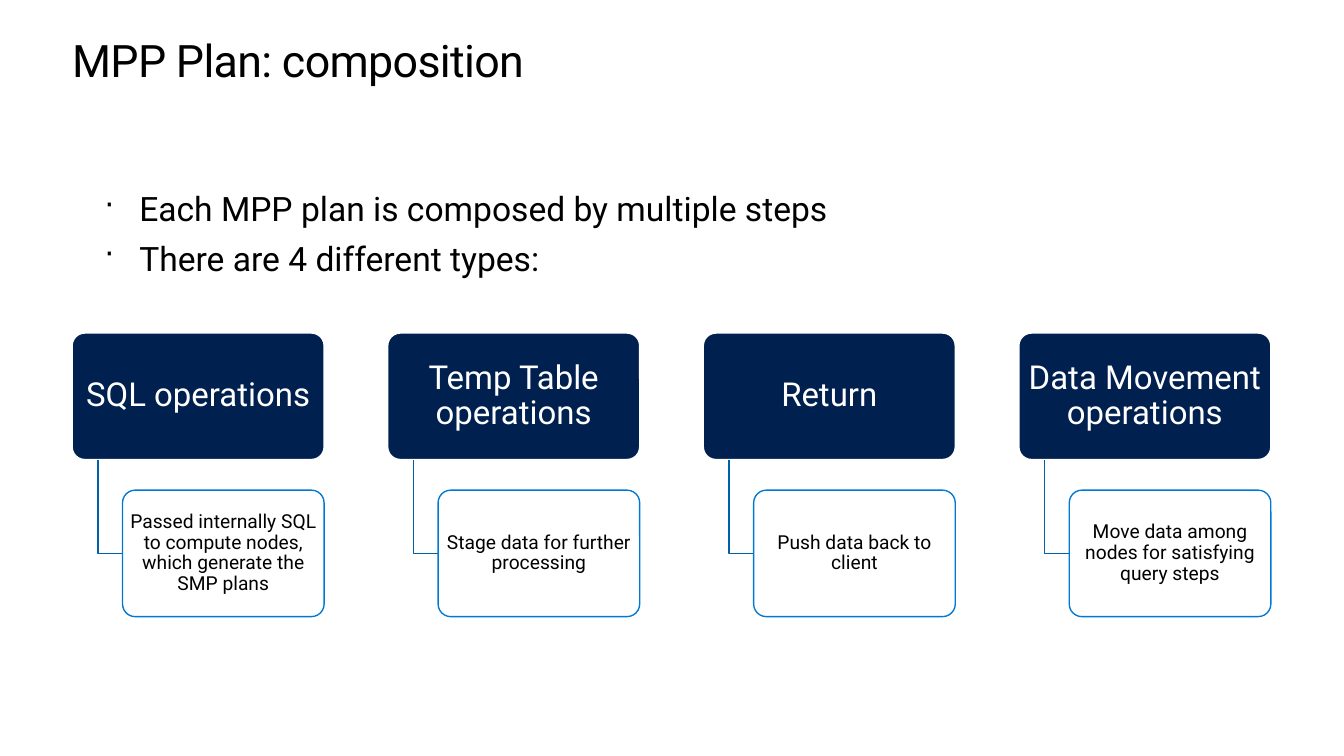
"""Build the slide on the composition of an MPP plan."""
from dataclasses import dataclass

from lxml import etree
from pptx import Presentation
from pptx import util as u
from pptx.dml.color import RGBColor
from pptx.enum import shapes, text
from pptx.oxml import ns

FONT = "Roboto"
BLACK, WHITE, NAVY, BLUE, LINK = "000000", "FFFFFF", "002050", "0078D4", "0060AA"
LEFT, LAST_LEFT = 0.73, 10.31
HEAD_TOP, DETAIL_TOP, BOX_HEIGHT = 3.37, 4.96, 1.28
HEAD_WIDTH, DETAIL_WIDTH = 2.55, 2.04
LINK_OFFSET, DETAIL_OFFSET = 0.26, 0.51


@dataclass
class Operation:
    name: str
    detail: str


@dataclass
class BoxStyle:
    fill: str
    line: str
    font: str
    size: float
    inset: float


HEAD = BoxStyle(NAVY, WHITE, WHITE, 24, 0.05)
DETAIL = BoxStyle(WHITE, BLUE, BLACK, 14, 0.03)
OPERATIONS = [
    Operation("SQL operations",
              "Passed internally SQL to compute nodes, which generate the SMP plans"),
    Operation("Temp Table operations", "Stage data for further processing"),
    Operation("Return", "Push data back to client"),
    Operation("Data Movement operations",
              "Move data among nodes for satisfying query steps"),
]
BULLETS = ["Each MPP plan is composed by multiple steps", "There are 4 different types:"]


def color(value: str) -> RGBColor:
    return RGBColor.from_string(value)


def write(para, words: str, size: float, tint: str):
    span = para.add_run()
    span.text = words
    para.font.name = FONT
    para.font.size = u.Pt(size)
    para.font.color.rgb = color(tint)
    return span


def set_insets(frame, across: float, down: float) -> None:
    frame.word_wrap = True
    frame.margin_left = frame.margin_right = u.Inches(across)
    frame.margin_top = frame.margin_bottom = u.Inches(down)


def add_text(page, left: float, top: float, width: float, height: float):
    box = page.shapes.add_textbox(*map(u.Inches, (left, top, width, height)))
    set_insets(box.text_frame, 0, 0)
    return box.text_frame


def add_title(page, words: str) -> None:
    para = add_text(page, LEFT, 0.36, 12.14, 0.51).paragraphs[0]
    para.line_spacing = u.Pt(36.9)
    span = write(para, words, 32.6, BLACK)
    span.font._element.set("spc", "-50")


def add_bullet(para) -> None:
    props = para._p.get_or_add_pPr()
    props.set("marL", str(u.Inches(0.35)))
    props.set("indent", str(u.Inches(-0.35)))
    tint = etree.Element(ns.qn("a:buClr"))
    etree.SubElement(tint, ns.qn("a:srgbClr"), val=BLACK)
    size = etree.Element(ns.qn("a:buSzPct"), val="90000")
    mark = etree.Element(ns.qn("a:buChar"), char="·")
    for part in (tint, size, mark):
        props.insert_element_before(part, "a:defRPr")


def add_bullets(page, lines: list[str]) -> None:
    frame = add_text(page, 1.06, 1.9, 12.14, 5.38)
    for index, words in enumerate(lines):
        para = frame.add_paragraph() if index else frame.paragraphs[0]
        para.space_before = u.Pt(6.8)
        write(para, words, 24.5, BLACK)
        add_bullet(para)


def add_box(page, left: float, top: float, width: float, words: str, style: BoxStyle) -> None:
    box = page.shapes.add_shape(shapes.MSO_SHAPE.ROUNDED_RECTANGLE,
                                *map(u.Inches, (left, top, width, BOX_HEIGHT)))
    box.adjustments[0] = 0.1
    box.shadow.inherit = False
    box.fill.solid()
    box.fill.fore_color.rgb = color(style.fill)
    box.line.color.rgb = color(style.line)
    box.line.width = u.Pt(1)
    frame = box.text_frame
    set_insets(frame, style.inset, 0.02)
    frame.vertical_anchor = text.MSO_ANCHOR.MIDDLE
    para = frame.paragraphs[0]
    para.alignment = text.PP_ALIGN.CENTER
    para.line_spacing = 0.9
    write(para, words, style.size, style.font)


def add_link(page, left: float) -> None:
    start, bend = u.Inches(left + LINK_OFFSET), u.Inches(DETAIL_TOP + BOX_HEIGHT / 2)
    outline = page.shapes.build_freeform(start, u.Inches(HEAD_TOP + BOX_HEIGHT))
    outline.add_line_segments([(start, bend), (u.Inches(left + DETAIL_OFFSET), bend)],
                              close=False)
    link = outline.convert_to_shape()
    link.shadow.inherit = False
    link.fill.background()
    link.line.color.rgb = color(LINK)
    link.line.width = u.Pt(1)


def add_operation(page, left: float, operation: Operation) -> None:
    add_box(page, left, HEAD_TOP, HEAD_WIDTH, operation.name, HEAD)
    add_link(page, left)
    add_box(page, left + DETAIL_OFFSET, DETAIL_TOP, DETAIL_WIDTH, operation.detail, DETAIL)


def main() -> None:
    deck = Presentation()
    deck.slide_width, deck.slide_height = u.Inches(13.6), u.Inches(7.65)
    page = deck.slides.add_slide(deck.slide_layouts[6])
    add_title(page, "MPP Plan: composition")
    pitch = (LAST_LEFT - LEFT) / (len(OPERATIONS) - 1)
    for index, operation in enumerate(OPERATIONS):
        add_operation(page, LEFT + index * pitch, operation)
    add_bullets(page, BULLETS)
    deck.save("out.pptx")


if __name__ == "__main__":
    main()
